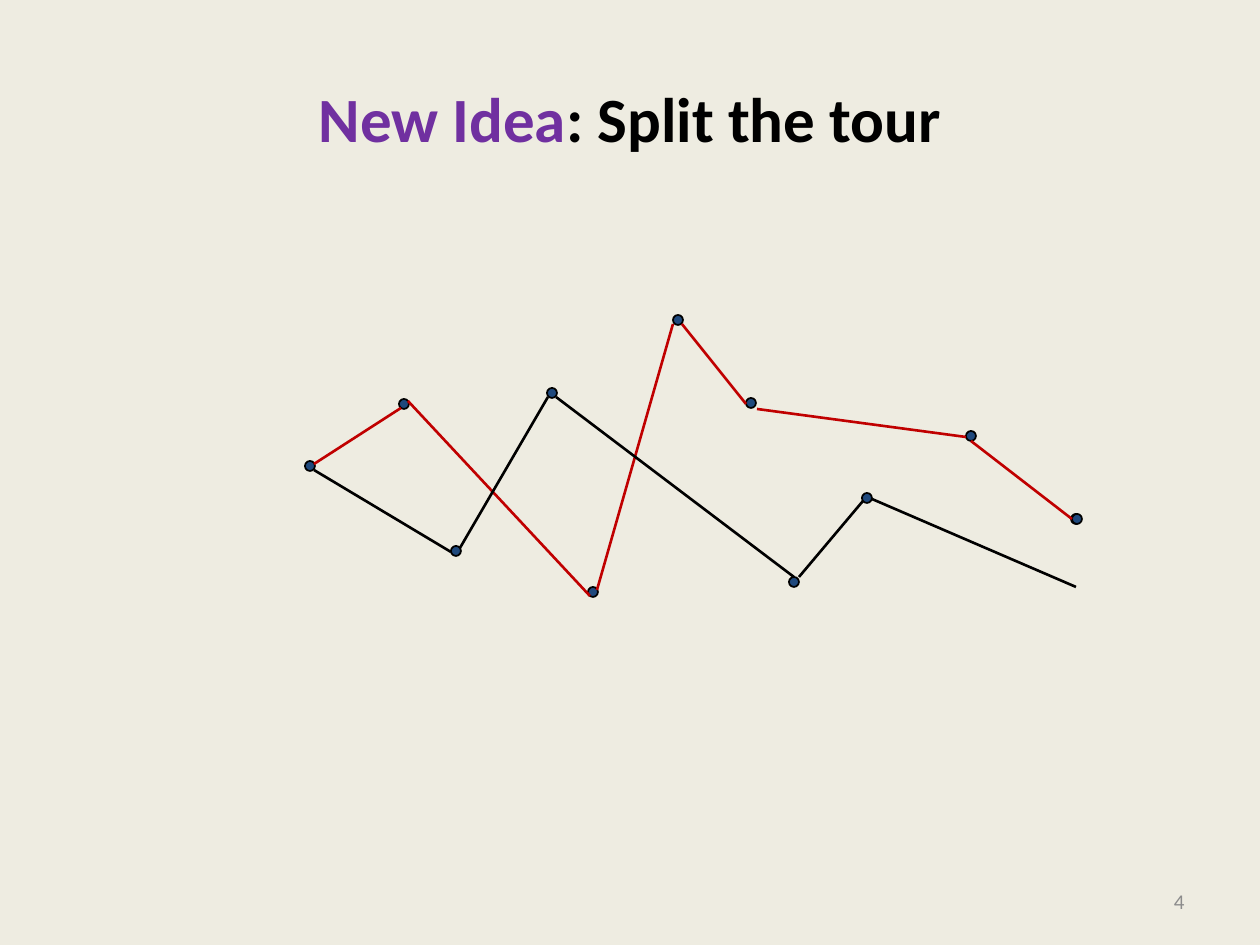
"""Build the slide that shows a tour split into a red and a black path."""
from dataclasses import dataclass

from lxml.etree import SubElement
from pptx import Presentation
from pptx.dml.color import RGBColor
from pptx.enum.shapes import MSO_CONNECTOR as Connector, MSO_SHAPE as Shape
from pptx.enum.text import MSO_ANCHOR as Anchor, PP_ALIGN as Align
from pptx.oxml.ns import qn
from pptx.util import Pt

PX = 914400 // 126


@dataclass(frozen=True)
class Theme:
    font: str = "Calibri"
    background: str = "EEECE1"
    accent: str = "7030A0"
    ink: str = "000000"
    muted: str = "8C8C8C"
    dot: str = "1F497D"
    red: str = "C00000"
    title_size: int = 36
    number_size: int = 12
    path_width: float = 1.5
    outline_width: float = 1


THEME = Theme()
SLIDE_SIZE = (1260, 945)
TITLE_BOX = (63, 38, 1134, 158)
NUMBER_BOX = (903, 876, 294, 50)
DOT_SIZE = 10

TITLE = [("New Idea", THEME.accent), (": Split the tour", THEME.ink)]
PAGE_NUMBER = [("4", THEME.muted)]

CITIES = [
    (305, 461), (746, 398), (547, 388), (451, 546), (588, 587), (399, 399),
    (673, 315), (862, 493), (789, 577), (966, 431), (1071, 514), (1072, 514),
]
PATHS = {
    THEME.red: [
        (757, 409, 966, 437), (682, 324, 746, 404), (673, 324, 597, 590),
        (590, 596, 408, 401), (401, 408, 314, 464), (971, 441, 1072, 519),
    ],
    THEME.ink: [
        (451, 552, 314, 470), (460, 548, 548, 397), (794, 577, 556, 397),
        (799, 577, 863, 501), (872, 499, 1076, 587),
    ],
}


def emu(lengths):
    return [length * PX for length in lengths]


def rgb(colour):
    return RGBColor.from_string(colour)


def add_text(slide, runs, *, box, size, align, bold=False):
    frame = slide.shapes.add_textbox(*emu(box)).text_frame
    frame.word_wrap = True
    frame.vertical_anchor = Anchor.MIDDLE
    paragraph = frame.paragraphs[0]
    paragraph.alignment = align
    for text, colour in runs:
        run = paragraph.add_run()
        run.text = text
        run.font.name = THEME.font
        run.font.size = Pt(size)
        run.font.bold = bold
        run.font.color.rgb = rgb(colour)


def add_city(slide, left, top):
    shape = slide.shapes.add_shape(Shape.OVAL, *emu((left, top, DOT_SIZE, DOT_SIZE)))
    shape.shadow.inherit = False
    shape.fill.solid()
    shape.fill.fore_color.rgb = rgb(THEME.dot)
    shape.line.color.rgb = rgb(THEME.ink)
    shape.line.width = Pt(THEME.outline_width)


def add_leg(slide, ends, colour):
    connector = slide.shapes.add_connector(Connector.STRAIGHT, *emu(ends))
    connector.line.color.rgb = rgb(colour)
    connector.line.width = Pt(THEME.path_width)
    SubElement(connector._element.spPr, qn("a:effectLst"))


def main():
    presentation = Presentation()
    presentation.slide_width, presentation.slide_height = emu(SLIDE_SIZE)
    slide = presentation.slides.add_slide(presentation.slide_layouts[6])
    slide.background.fill.solid()
    slide.background.fill.fore_color.rgb = rgb(THEME.background)

    add_text(slide, TITLE, box=TITLE_BOX, size=THEME.title_size, align=Align.CENTER, bold=True)
    add_text(slide, PAGE_NUMBER, box=NUMBER_BOX, size=THEME.number_size, align=Align.RIGHT)
    for left, top in CITIES:
        add_city(slide, left, top)
    for colour, legs in PATHS.items():
        for ends in legs:
            add_leg(slide, ends, colour)
    presentation.save("out.pptx")


if __name__ == "__main__":
    main()
